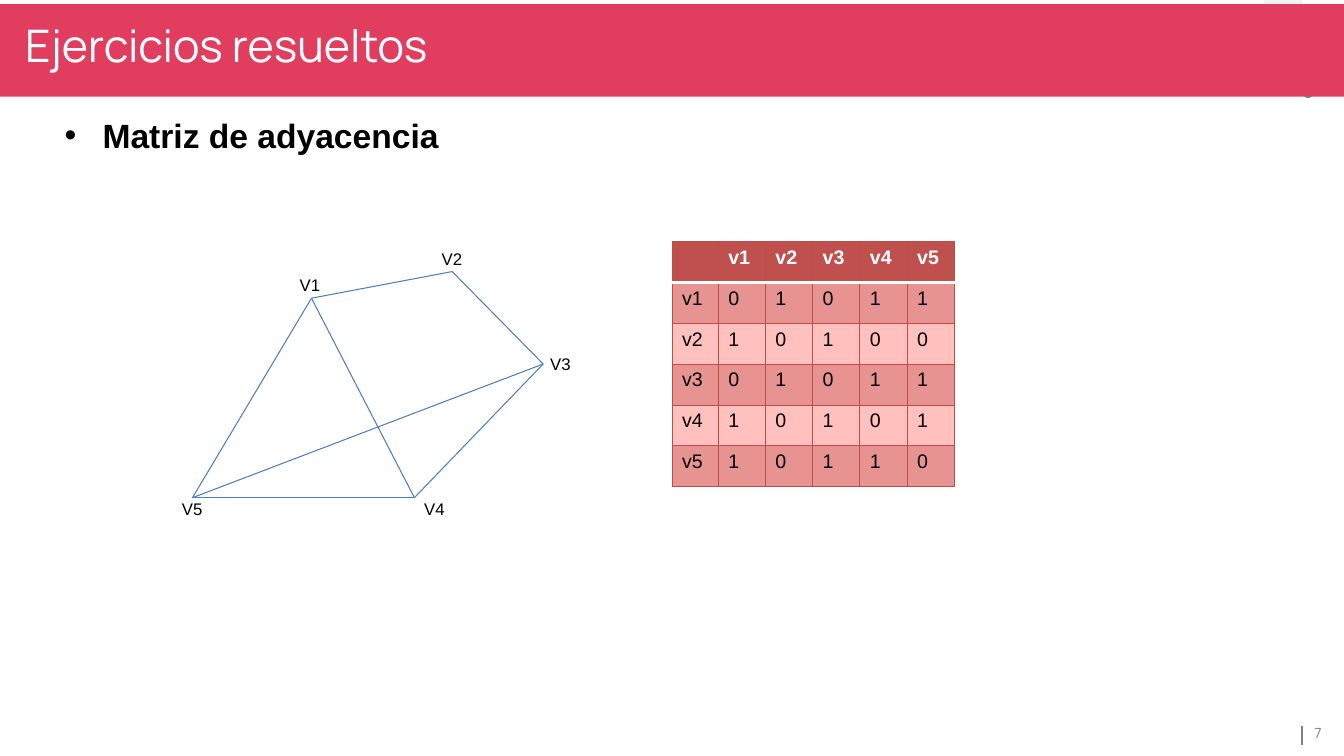
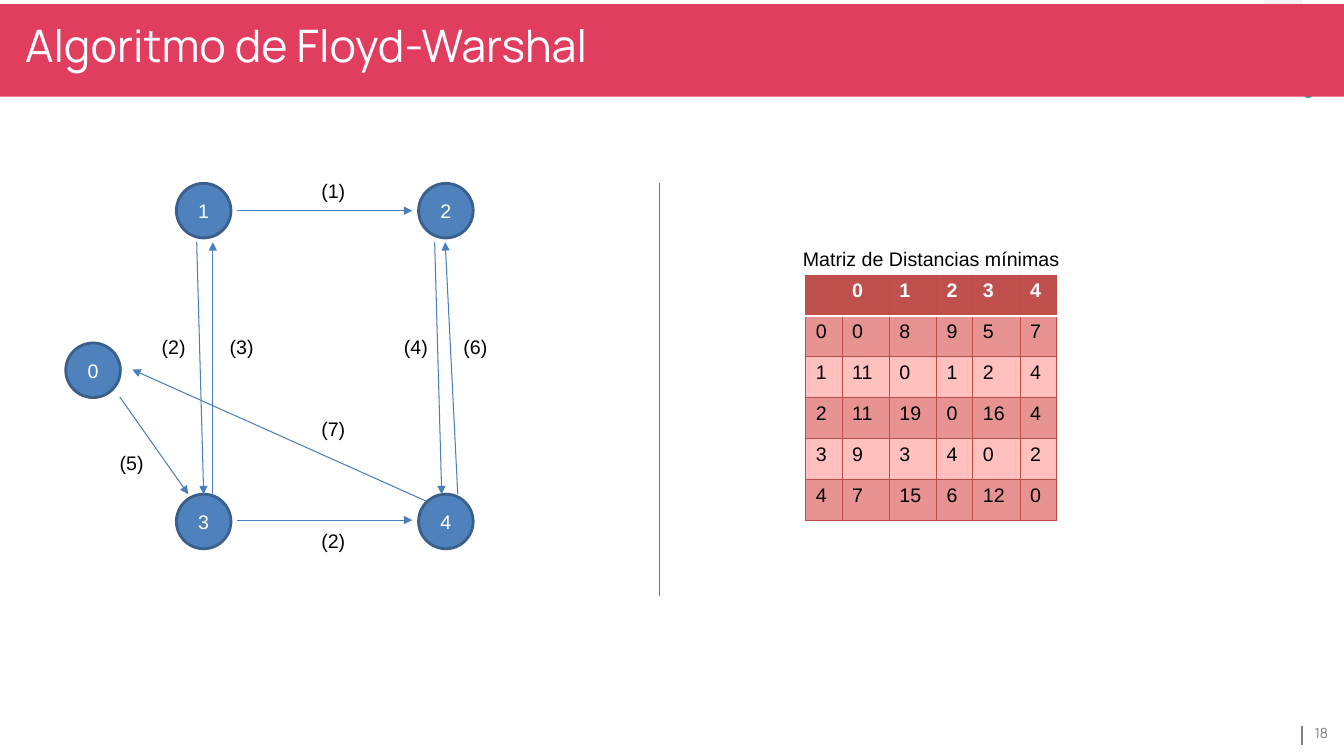
from lxml import etree
from pptx import Presentation
from pptx.dml.color import RGBColor
from pptx.enum import shapes, text
from pptx.oxml import ns
from pptx.util import Pt

CRIMSON = RGBColor(0xE1, 0x3D, 0x5E)
TEAL = RGBColor(0x32, 0xAA, 0xAF)
PALE_GRAY = RGBColor(0xF2, 0xF2, 0xF2)
GRAY = RGBColor(0x7F, 0x7F, 0x7F)
BLACK = RGBColor(0, 0, 0)
WHITE = RGBColor(0xFF, 0xFF, 0xFF)
EDGE_BLUE = RGBColor(0x4B, 0x7E, 0xBC)
NODE_BLUE = RGBColor(0x4F, 0x81, 0xBD)
NODE_OUTLINE = RGBColor(0x3A, 0x5F, 0x8C)
HEADER_RED = RGBColor(0xC0, 0x50, 0x4D)
BORDER_RED = RGBColor(0xBF, 0x4C, 0x48)
ROW_DARK = RGBColor(0xE6, 0x93, 0x91)
ROW_LIGHT = RGBColor(0xFF, 0xC0, 0xBE)
BODY_FONT = "Arial"
TITLE_FONT = "Manrope"


def add_line(page, start, end, color=EDGE_BLUE, width=0.75, arrow=False):
    line = page.shapes.add_connector(
        shapes.MSO_CONNECTOR.STRAIGHT, *[Pt(value) for value in start + end])
    line.line.color.rgb = color
    line.line.width = Pt(width)
    properties = line.element.spPr
    if arrow:
        outline = properties.find(ns.qn("a:ln"))
        etree.SubElement(outline, ns.qn("a:tailEnd"), type="triangle")
    etree.SubElement(properties, ns.qn("a:effectLst"))


def add_label(page, content, left, top, width=40, size=14, color=BLACK, font=BODY_FONT):
    box = page.shapes.add_textbox(Pt(left), Pt(top), Pt(width), Pt(size * 1.2))
    frame = box.text_frame
    frame.word_wrap = True
    frame.margin_left = frame.margin_right = frame.margin_top = frame.margin_bottom = 0
    para = frame.paragraphs[0]
    para.text = content
    para.font.size = Pt(size)
    para.font.name = font
    para.font.color.rgb = color


deck = Presentation()
deck.slide_width = Pt(960)
deck.slide_height = Pt(540)

pages = []
for heading, number, layout in [
    ("Ejercicios resueltos", "7", 1),
    ("Algoritmo de Floyd-Warshal", "18", 5),
]:
    page = deck.slides.add_slide(deck.slide_layouts[layout])
    pages.append(page)
    for preset, left, top, width, height, turn, color in [
        (shapes.MSO_SHAPE.RECTANGLE, 903, 0, 27, 3, 0, PALE_GRAY),
        (shapes.MSO_SHAPE.ROUND_2_SAME_RECTANGLE, 944, 32.5, 6.5, 43, 225, TEAL),
    ]:
        accent = page.shapes.add_shape(preset, Pt(left), Pt(top), Pt(width), Pt(height))
        accent.shadow.inherit = False
        accent.fill.solid()
        accent.fill.fore_color.rgb = color
        accent.line.fill.background()
        accent.rotation = turn
        if turn:
            accent.adjustments[0] = 0.5

    title = page.shapes.title
    title.left, title.top, title.width, title.height = Pt(-2), Pt(3), Pt(964), Pt(66)
    title.element.getparent().append(title.element)
    title.fill.solid()
    title.fill.fore_color.rgb = CRIMSON
    frame = title.text_frame
    frame.auto_size = text.MSO_AUTO_SIZE.NONE
    frame.vertical_anchor = text.MSO_ANCHOR.TOP
    frame.margin_left = Pt(20)
    frame.margin_top = Pt(9.4)
    para = frame.paragraphs[0]
    para.text = heading
    para.alignment = text.PP_ALIGN.LEFT
    para.font.size = Pt(32)
    para.font.name = TITLE_FONT
    para.font.color.rgb = WHITE

    add_line(page, (930, 518.5), (930, 532), GRAY, 1)
    add_label(page, number, 939, 517.4, 20, 10, GRAY, TITLE_FONT)

adjacency_page, distance_page = pages

body = adjacency_page.placeholders[1]
body.left, body.top, body.width, body.height = Pt(39), Pt(78.5), Pt(842), Pt(36)
body.text_frame.auto_size = text.MSO_AUTO_SIZE.NONE
para = body.text_frame.paragraphs[0]
para.text = "Matriz de adyacencia"
para.space_before = Pt(0)
indents = para._p.get_or_add_pPr()
indents.set("marL", str(Pt(27)))
indents.set("indent", str(Pt(-27)))
etree.SubElement(indents, ns.qn("a:buFont"), typeface=BODY_FONT)
etree.SubElement(indents, ns.qn("a:buChar"), char="•")
para.font.size = Pt(24)
para.font.name = BODY_FONT
para.font.bold = True
para.font.color.rgb = BLACK

vertices = {
    "V1": (222.5, 213), "V2": (323, 194), "V3": (388, 260),
    "V4": (296, 355.5), "V5": (137.5, 355.5),
}
for start, end in ["51", "14", "54", "53", "43", "32", "12"]:
    add_line(adjacency_page, vertices["V" + start], vertices["V" + end])
for name, left, top in [
    ("V1", 214, 196), ("V2", 315.5, 178), ("V3", 393, 253),
    ("V4", 303, 356), ("V5", 130, 356),
]:
    add_label(adjacency_page, name, left, top, size=12)

add_line(distance_page, (471, 131), (471, 425.5))
for name, left, top in [
    ("0", 47, 245), ("1", 126, 131), ("3", 126, 353), ("2", 299, 131), ("4", 299, 353),
]:
    node = distance_page.shapes.add_shape(
        shapes.MSO_SHAPE.OVAL, Pt(left), Pt(top), Pt(39), Pt(39))
    node.shadow.inherit = False
    node.fill.solid()
    node.fill.fore_color.rgb = NODE_BLUE
    node.line.color.rgb = NODE_OUTLINE
    node.line.width = Pt(2)
    para = node.text_frame.paragraphs[0]
    para.text = name
    para.alignment = text.PP_ALIGN.CENTER
    para.font.size = Pt(14)
    para.font.name = BODY_FONT
    para.font.color.rgb = WHITE

for start, end, weight, left, top in [
    ((85.5, 283.5), (134.5, 353), "(5)", 85.5, 322),
    ((169, 371.5), (294.5, 371.5), "(2)", 229.5, 378),
    ((169, 150.5), (294.5, 150.5), "(1)", 229.5, 127.5),
    ((140.5, 173), (145.5, 353), "(2)", 115.5, 239),
    ((310.5, 173), (315.5, 353), "(4)", 288.5, 239),
    ((152, 353), (152, 173), "(3)", 164, 239),
    ((327, 353), (318, 173), "(6)", 331, 239),
    ((304.5, 358), (94.5, 264), "(7)", 229.5, 297.5),
]:
    add_line(distance_page, start, end, arrow=True)
    add_label(distance_page, weight, left, top)
add_label(distance_page, "Matriz de Distancias mínimas", 573.5, 176, 200)

for page, left, top, widths, names, matrix in [
    (adjacency_page, 480, 172.5, [33, 33.75, 33.75, 33.75, 33.75, 33.75],
     ["v1", "v2", "v3", "v4", "v5"],
     [[0, 1, 0, 1, 1], [1, 0, 1, 0, 0], [0, 1, 0, 1, 1], [1, 0, 1, 0, 1], [1, 0, 1, 1, 0]]),
    (distance_page, 575.5, 196.5, [26, 33.75, 33.75, 26, 33.75, 26],
     ["0", "1", "2", "3", "4"],
     [[0, 8, 9, 5, 7], [11, 0, 1, 2, 4], [11, 19, 0, 16, 4], [9, 3, 4, 0, 2],
      [7, 15, 6, 12, 0]]),
]:
    rows = [[""] + names] + [[name] + values for name, values in zip(names, matrix)]
    table = page.shapes.add_table(
        len(rows), len(widths), Pt(left), Pt(top), Pt(sum(widths)), Pt(175)).table
    for column, width in zip(table.columns, widths):
        column.width = Pt(width)
    for row_index, values in enumerate(rows):
        table.rows[row_index].height = Pt(29.2)
        header = row_index == 0
        for column_index, value in enumerate(values):
            cell = table.cell(row_index, column_index)
            cell.fill.solid()
            cell.fill.fore_color.rgb = (
                HEADER_RED if header else ROW_DARK if row_index % 2 else ROW_LIGHT)
            para = cell.text_frame.paragraphs[0]
            para.text = str(value)
            para.font.size = Pt(14)
            para.font.name = BODY_FONT
            para.font.bold = header
            para.font.color.rgb = WHITE if header else BLACK
            properties = cell._tc.get_or_add_tcPr()
            for position, side in enumerate(["lnL", "lnR", "lnT", "lnB"]):
                divider = (row_index, side) in [(0, "lnB"), (1, "lnT")]
                border = etree.Element(
                    ns.qn("a:" + side), w=str(Pt(2 if divider else 0.75)))
                paint = etree.SubElement(border, ns.qn("a:solidFill"))
                etree.SubElement(
                    paint, ns.qn("a:srgbClr"), val=str(WHITE if divider else BORDER_RED))
                properties.insert(position, border)

deck.save("out.pptx")
